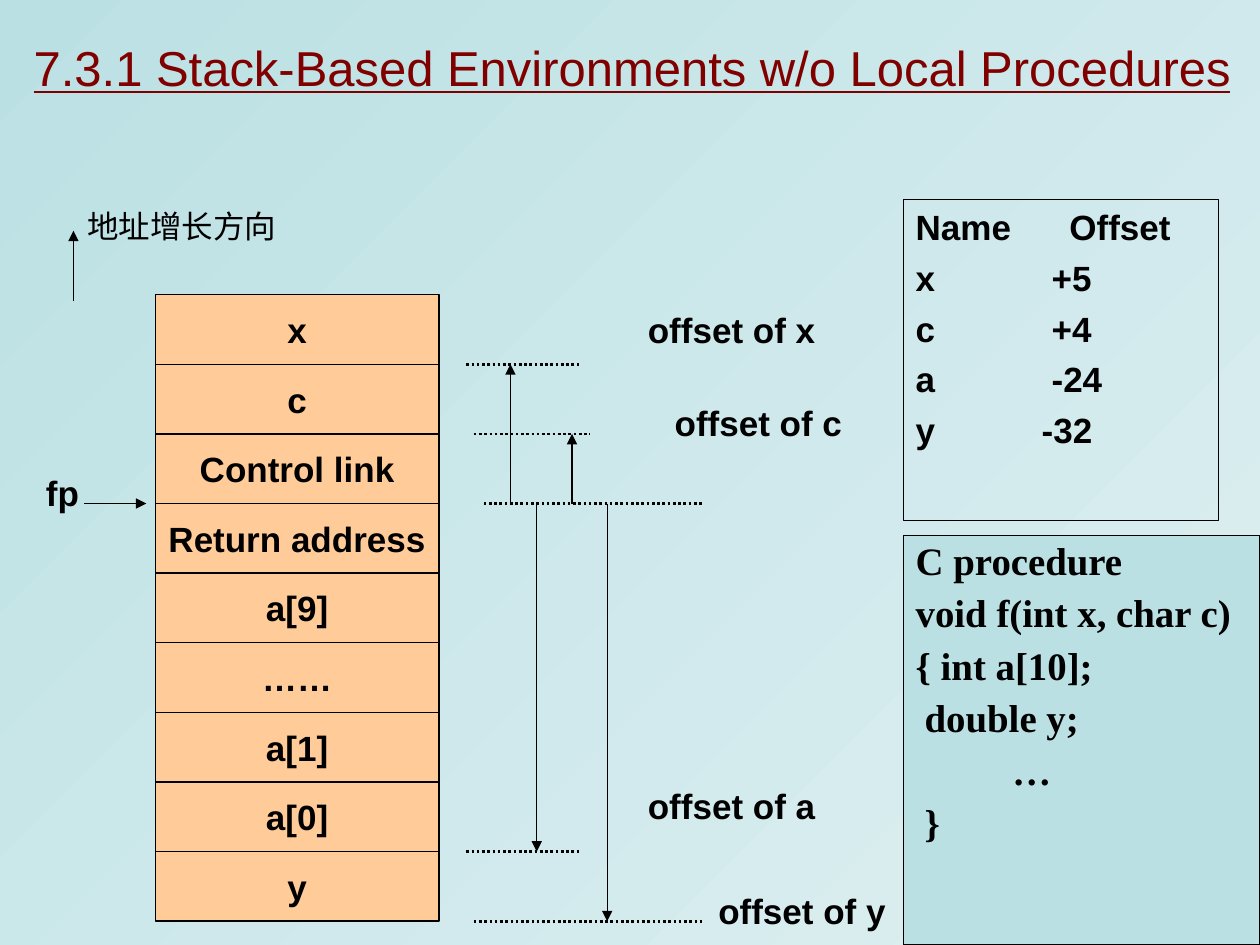
from dataclasses import dataclass

from lxml import etree
from pptx import Presentation
from pptx import util as u
from pptx.dml.color import RGBColor
from pptx.enum import dml, shapes, text
from pptx.oxml import ns


@dataclass(frozen=True)
class Theme:
    ink: str = "000000"
    title: str = "800000"
    cell: str = "FFCC99"
    panel: str = "BBE0E3"
    fade: str = "DFF0F2"
    sans: str = "Arial"
    serif: str = "Times New Roman"
    title_size: float = 28
    label_size: float = 20
    code_size: float = 22.2
    note_size: float = 18
    thin: float = 0.75
    dotted: float = 1.5


THEME = Theme()

TITLE = "7.3.1 Stack-Based Environments w/o Local Procedures"
DIRECTION = "地址增长方向"
STACK = ["x", "c", "Control link", "Return address", "a[9]", "……", "a[1]", "a[0]", "y"]
OFFSETS = [
    ("Name", "Offset", 3.1),
    ("x", "+5", 2.74),
    ("c", "+4", 2.74),
    ("a", "-24", 2.74),
    ("y", "-32", 2.54),
]
CODE = [
    ("C procedure", 0),
    ("void f(int x, char c)", 0),
    ("{ int a[10];", 0),
    ("double y;", 0.18),
    ("…", 1.95),
    ("}", 0.18),
]
FRAME_LEVEL = 3
GUIDES = [(1, 9.4, 11.71), (2, 9.55, 11.89), (FRAME_LEVEL, 9.75, 14.2),
          (8, 9.4, 11.71), (9, 9.55, 14.2)]
REACHES = [(10.29, 1), (11.53, 2), (10.82, 8), (12.24, 9)]
LABELS = [("offset of x", 12.7, 5.94), ("offset of c", 13.24, 7.82),
          ("offset of a", 12.7, 15.54), ("offset of y", 14.12, 17.65)]
LABEL_WIDTH = 4.1

STACK_LEFT, STACK_TOP, STACK_WIDTH, STACK_HEIGHT = 3.13, 5.94, 5.72, 12.63
ROW = STACK_HEIGHT / len(STACK)


def level(count):
    return STACK_TOP + count * ROW


def rgb(value):
    return RGBColor.from_string(value)


def style(para, size, name=THEME.sans, color=THEME.ink, bold=True):
    para.font.size = u.Pt(size)
    para.font.name = name
    para.font.bold = bold
    para.font.color.rgb = rgb(color)


def add_label(page, words, area, size=THEME.label_size, color=THEME.ink,
              bold=True, centred=True, wrap=False):
    box = page.shapes.add_textbox(*map(u.Cm, area))
    frame = box.text_frame
    frame.word_wrap = wrap
    frame.vertical_anchor = text.MSO_ANCHOR.MIDDLE if centred else text.MSO_ANCHOR.TOP
    para = frame.paragraphs[0]
    para.text = words
    para.alignment = text.PP_ALIGN.CENTER if centred else text.PP_ALIGN.LEFT
    style(para, size, color=color, bold=bold)
    return para


def add_box(page, area, fill=None):
    box = page.shapes.add_shape(shapes.MSO_SHAPE.RECTANGLE, *map(u.Cm, area))
    box.shadow.inherit = False
    box.line.color.rgb = rgb(THEME.ink)
    box.line.width = u.Pt(THEME.thin)
    if fill:
        box.fill.solid()
        box.fill.fore_color.rgb = rgb(fill)
    else:
        box.fill.background()
    return box


def add_line(page, x1, y1, x2, y2, arrow=True):
    line = page.shapes.add_connector(
        shapes.MSO_CONNECTOR.STRAIGHT, *map(u.Cm, (x1, y1, x2, y2)))
    line.line.color.rgb = rgb(THEME.ink)
    line.line.width = u.Pt(THEME.thin if arrow else THEME.dotted)
    if arrow:
        outline = line.line._get_or_add_ln()
        etree.SubElement(outline, ns.qn("a:tailEnd"), type="triangle")
    else:
        line.line.dash_style = dml.MSO_LINE.ROUND_DOT
    etree.SubElement(line._element.spPr, ns.qn("a:effectLst"))


def add_lines(box, lines):
    frame = box.text_frame
    frame.word_wrap = True
    frame.vertical_anchor = text.MSO_ANCHOR.TOP
    for index, words in enumerate(lines):
        para = frame.paragraphs[0] if index == 0 else frame.add_paragraph()
        para.text = words
        para.alignment = text.PP_ALIGN.LEFT
        yield para


def add_stack(page):
    for index, words in enumerate(STACK):
        box = add_box(page, (STACK_LEFT, level(index), STACK_WIDTH, ROW), THEME.cell)
        box.text_frame.word_wrap = False
        box.text_frame.vertical_anchor = text.MSO_ANCHOR.MIDDLE
        para = box.text_frame.paragraphs[0]
        para.text = words
        para.alignment = text.PP_ALIGN.CENTER
        style(para, THEME.label_size)


def add_offset_marks(page):
    frame_line = level(FRAME_LEVEL)
    add_line(page, 1.7, frame_line, 2.95, frame_line)
    add_label(page, "fp", (0.64, 8.99, 1.24, 1.88))
    for count, start, end in GUIDES:
        add_line(page, start, level(count), end, level(count), arrow=False)
    for x, count in REACHES:
        add_line(page, x, frame_line, x, level(count))
    for words, left, top in LABELS:
        add_label(page, words, (left, top, LABEL_WIDTH, ROW))


def add_offset_list(page):
    box = add_box(page, (18.21, 4.02, 6.35, 6.48))
    lines = [f"{name}\t{value}" for name, value, _ in OFFSETS]
    for para, (_, _, stop) in zip(add_lines(box, lines), OFFSETS):
        tabs = etree.SubElement(para._p.get_or_add_pPr(), ns.qn("a:tabLst"))
        etree.SubElement(tabs, ns.qn("a:tab"), pos=str(u.Cm(stop)), algn="l")
        para.space_before = u.Pt(5)
        style(para, THEME.label_size)


def add_code(page):
    box = add_box(page, (18.21, 10.8, 7.19, 8.25), THEME.panel)
    lines = [words for words, _ in CODE]
    for para, (_, indent) in zip(add_lines(box, lines), CODE):
        para._p.get_or_add_pPr().set("marL", str(u.Cm(indent)))
        para.line_spacing = 0.9
        para.space_before = u.Pt(6)
        style(para, THEME.code_size, THEME.serif)


def main():
    deck = Presentation()
    deck.slide_width, deck.slide_height = u.Cm(25.4), u.Cm(19.05)
    page = deck.slides.add_slide(deck.slide_layouts[6])
    fill = page.background.fill
    fill.gradient()
    fill.gradient_angle = 315
    for stop, color in zip(fill.gradient_stops, (THEME.panel, THEME.fade)):
        stop.color.rgb = rgb(color)

    add_stack(page)
    add_offset_marks(page)
    add_offset_list(page)
    add_code(page)
    add_line(page, 1.48, 6.07, 1.48, 4.65)
    add_label(page, DIRECTION, (1.51, 4.05, 4.32, 1.02), THEME.note_size,
              bold=False, centred=False)
    title = add_label(page, TITLE, (0.43, 0.64, 24.77, 1.45), THEME.title_size,
                      THEME.title, bold=False, centred=False, wrap=True)
    title.font.underline = True
    deck.save("out.pptx")


if __name__ == "__main__":
    main()
